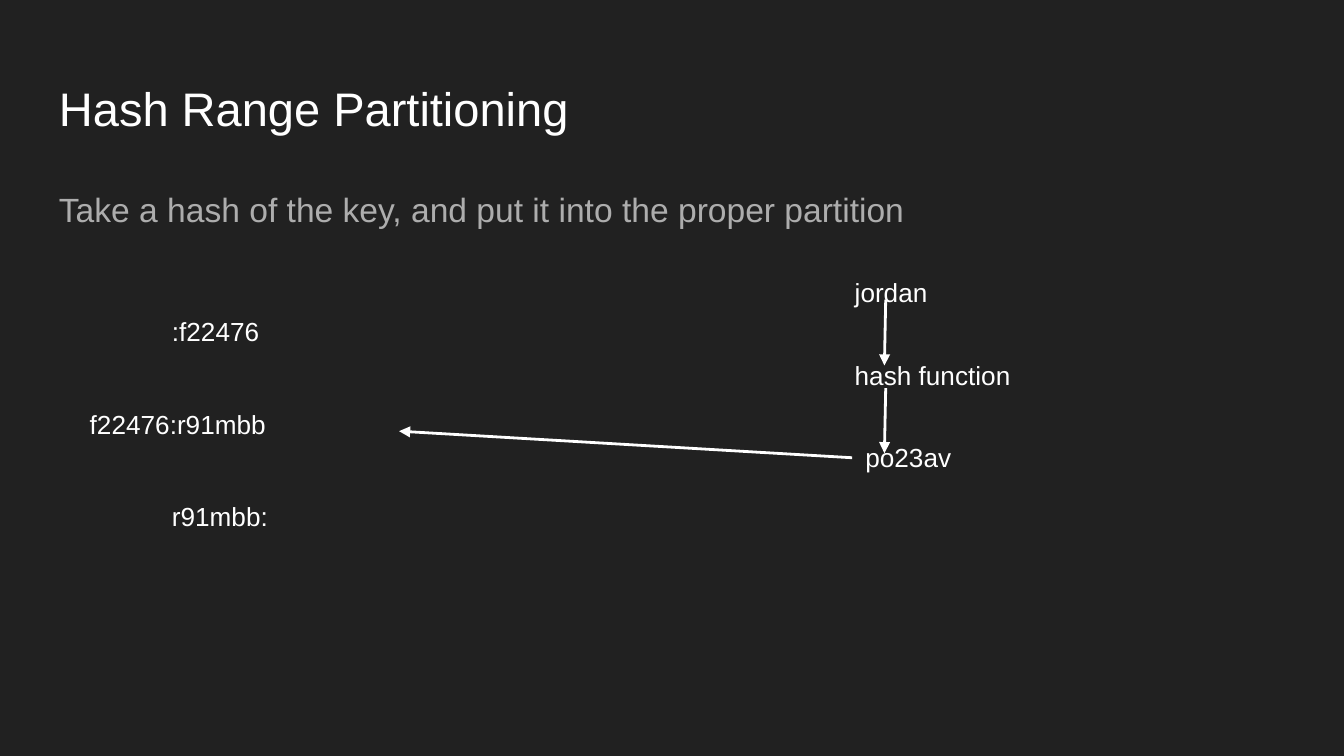
from dataclasses import dataclass

from lxml import etree
from pptx import Presentation
from pptx.dml.color import RGBColor
from pptx.enum import shapes, text
from pptx.oxml.ns import qn
from pptx.util import Pt


@dataclass(frozen=True)
class Theme:
    font: str = "Arial"
    background: RGBColor = RGBColor(0x21, 0x21, 0x21)
    main: RGBColor = RGBColor(0xFF, 0xFF, 0xFF)
    muted: RGBColor = RGBColor(0xAD, 0xAD, 0xAD)
    title_size: float = 25.2
    body_size: float = 18
    label_size: float = 14
    line_width: float = 1.5
    inset: float = 7.2


@dataclass(frozen=True)
class Label:
    words: str
    left: float
    width: float


@dataclass(frozen=True)
class Arrow:
    x1: float
    y1: float
    x2: float
    y2: float


THEME = Theme()
MARGIN, CONTENT_WIDTH = 24.5, 671
LABEL_HEIGHT = 31.5

PARTITIONS = [
    Label(":f22476", 85, 62),
    Label("f22476:r91mbb", 41, 117.5),
    Label("r91mbb:", 85, 89),
]
HASH_STEPS = [
    Label("jordan", 450.8, 85),
    Label("hash function", 450.8, 117.5),
    Label("po23av", 456.5, 85),
]
STEP_ARROWS = [
    Arrow(474.5, 160.6, 473.8, 195.8),
    Arrow(474.5, 208, 473.8, 242.8),
]
PARTITION_ARROW = Arrow(456.5, 245, 213.8, 231)


def add_text(slide, words: str, left: float, top: float, width: float, height: float, *,
             size: float = THEME.label_size, color: RGBColor = THEME.main,
             line_spacing: float = 1.0, space_after: float = 0):
    sp = slide.shapes.add_textbox(Pt(left), Pt(top), Pt(width), Pt(height))
    tf = sp.text_frame
    tf.word_wrap = True
    tf.vertical_anchor = text.MSO_ANCHOR.TOP
    tf.margin_left = tf.margin_right = tf.margin_top = tf.margin_bottom = Pt(THEME.inset)
    p = tf.paragraphs[0]
    p.line_spacing = line_spacing
    p.space_after = Pt(space_after)
    r = p.add_run()
    r.text = words
    r.font.name = THEME.font
    r.font.size = Pt(size)
    r.font.color.rgb = color
    return sp


def add_labels(slide, labels: list[Label], top: float, step: float) -> list:
    """Stack labels at equal vertical steps and return their boxes."""
    return [add_text(slide, label.words, label.left, top + i * step, label.width, LABEL_HEIGHT)
            for i, label in enumerate(labels)]


def add_arrow(slide, arrow: Arrow):
    line = slide.shapes.add_connector(shapes.MSO_CONNECTOR.STRAIGHT, Pt(arrow.x1), Pt(arrow.y1),
                                      Pt(arrow.x2), Pt(arrow.y2))
    line.line.color.rgb = THEME.main
    line.line.width = Pt(THEME.line_width)
    etree.SubElement(line.line._get_or_add_ln(), qn("a:tailEnd"), type="triangle")
    etree.SubElement(line._element.spPr, qn("a:effectLst"))
    return line


def main() -> None:
    prs = Presentation()
    prs.slide_width, prs.slide_height = Pt(720), Pt(405)
    s = prs.slides.add_slide(prs.slide_layouts[6])
    s.background.fill.solid()
    s.background.fill.fore_color.rgb = THEME.background

    add_text(s, "Hash Range Partitioning", MARGIN, 35.3, CONTENT_WIDTH, 45.4,
             size=THEME.title_size)
    add_text(s, "Take a hash of the key, and put it into the proper partition",
             MARGIN, 90.7, CONTENT_WIDTH, 269.3, size=THEME.body_size, color=THEME.muted,
             line_spacing=1.15, space_after=12)
    add_labels(s, PARTITIONS, top=162, step=49.4)
    hashed_key = add_labels(s, HASH_STEPS, top=141.1, step=44.2)[-1]

    for arrow in STEP_ARROWS:
        add_arrow(s, arrow)
    add_arrow(s, PARTITION_ARROW).begin_connect(hashed_key, 1)
    prs.save("out.pptx")


if __name__ == "__main__":
    main()
